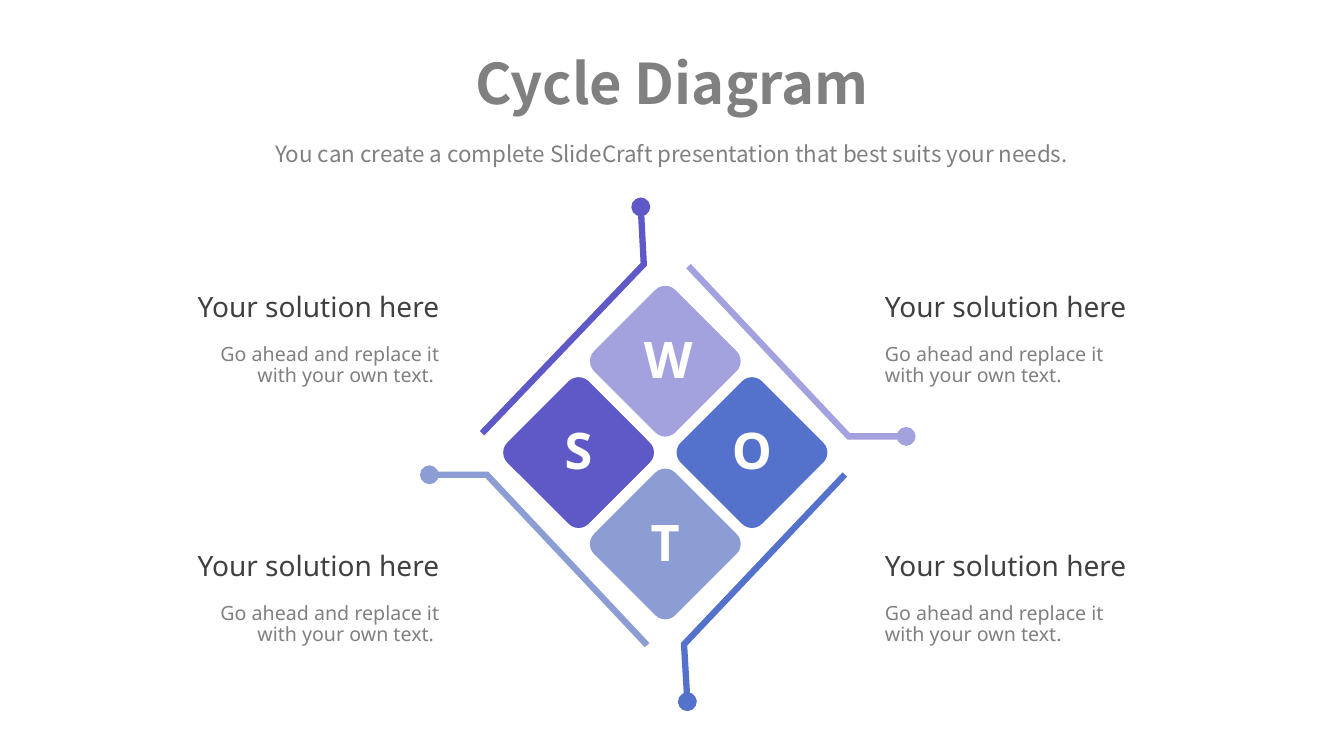
from lxml import etree
from pptx import Presentation
from pptx import util as u
from pptx.dml.color import RGBColor
from pptx.enum import shapes, text
from pptx.oxml.ns import qn

COLUMNS = 40
SLIDE_WIDTH, SLIDE_HEIGHT = u.Inches(13.333), u.Inches(7.5)
CELL = SLIDE_WIDTH / COLUMNS

COLORS = {
    "title": "808080", "heading": "404040", "body": "808080", "letter": "FFFFFF",
    "S": "5F59C7", "O": "5471CC", "W": "A4A1DF", "T": "8C9DD4",
}
TITLE_FONT, BODY_FONT = "Noto Sans CJK KR", "Noto Sans"
ALIGN = text.PP_ALIGN

# letter: diamond steps from the centre, bracket corner in the box, bracket turn
SWOT = {
    "S": ((-1, 0), (0.69, 0.84), 267),
    "O": ((1, 0), (6.78, 8.82), 86.7),
    "W": ((0, -1), (7.71, 1.77), 0),
    "T": ((0, 1), (0, 7.98), 180),
}


def cells(*counts):
    """Turn counts of grid cells into slide lengths."""
    return [u.Emu(round(count * CELL)) for count in counts]


def rgb(name):
    """Look up a named colour."""
    return RGBColor.from_string(COLORS[name])


def add_text(slide, box, words, *, size, color, font=BODY_FONT, bold=False,
             align=ALIGN.LEFT, anchor=text.MSO_ANCHOR.TOP, spacing=0.9):
    """Write one paragraph in a box given in grid cells."""
    frame = slide.shapes.add_textbox(*cells(*box)).text_frame
    frame.word_wrap = True
    frame.vertical_anchor = anchor
    line = frame.paragraphs[0]
    line.alignment = align
    line.line_spacing = spacing
    run = line.add_run()
    run.text = words
    run.font.name = font
    run.font.size = u.Pt(size)
    run.font.bold = bold
    run.font.color.rgb = rgb(color)


def add_header(slide, box):
    """Place the title and the subtitle below it."""
    left, top, width, _ = box
    style = {"font": TITLE_FONT, "color": "title", "align": ALIGN.CENTER}
    add_text(slide, (left, top, width, 3), "Cycle Diagram", size=40, bold=True,
             anchor=text.MSO_ANCHOR.MIDDLE, **style)
    add_text(slide, (left, top + 3.03, width, 1.23),
             "You can create a complete SlideCraft presentation that best suits your needs.",
             size=16, **style)


def add_diamond(slide, center_x, center_y, color):
    """Draw a rounded square standing on its corner."""
    side = 3.42
    diamond = slide.shapes.add_shape(
        shapes.MSO_SHAPE.ROUNDED_RECTANGLE,
        *cells(center_x - side / 2, center_y - side / 2, side, side))
    diamond.adjustments[0] = 0.123
    diamond.rotation = 45
    diamond.shadow.inherit = False
    diamond.fill.solid()
    diamond.fill.fore_color.rgb = rgb(color)
    diamond.line.fill.background()


def add_bracket(slide, left, top, turn, color):
    """Draw a bent line that ends in a dot."""
    builder = slide.shapes.build_freeform(0, 0)
    builder.add_line_segments([cells(4.77, 5.07), cells(6.48, 5.07)], close=False)
    bracket = builder.convert_to_shape(*cells(left, top))
    bracket.rotation = turn
    bracket.shadow.inherit = False
    bracket.fill.background()
    bracket.line.color.rgb = rgb(color)
    bracket.line.width = u.Pt(4.5)
    outline = bracket.line._get_or_add_ln()
    etree.SubElement(outline, qn("a:miter"), lim="800000")
    etree.SubElement(outline, qn("a:tailEnd"), type="oval")


def add_diagram(slide, box):
    """Place four lettered diamonds and the brackets around them."""
    left, top, _, _ = box
    centers = {letter: (left + 7.02 + 2.58 * across, top + 7.32 + 2.72 * down)
               for letter, ((across, down), _, _) in SWOT.items()}
    for letter, center in centers.items():
        add_diamond(slide, *center, letter)
    for letter, (_, (x, y), turn) in SWOT.items():
        add_bracket(slide, left + x, top + y, turn, letter)
    for letter, (x, y) in centers.items():
        add_text(slide, (x - 0.93, y - 1.0, 1.86, 2.67), letter, size=36,
                 color="letter", bold=True, align=ALIGN.CENTER, spacing=0.95)


def add_callout(slide, box, align):
    """Place a heading and its body text against one side of the box."""
    left, top, width, _ = box
    body_width = 8.16
    on_right_edge = align == ALIGN.RIGHT
    body_left = left + width - body_width if on_right_edge else left
    body = "Go ahead and replace it with your own text." + (" " if on_right_edge else "")
    add_text(slide, (left, top, width, 1.32), "Your solution here",
             size=20, color="heading", align=align)
    add_text(slide, (body_left, top + 1.52, body_width, 1.71), body,
             size=14, color="body", align=align)


def main():
    """Build and save the slide."""
    deck = Presentation()
    deck.slide_width, deck.slide_height = SLIDE_WIDTH, SLIDE_HEIGHT
    slide = deck.slides.add_slide(deck.slide_layouts[6])
    add_header(slide, (2.64, 1.08, 34.7, 4.26))
    add_diagram(slide, (12.78, 6.15, 14.19, 14.7))
    for left, align in ((26.04, ALIGN.LEFT), (3.29, ALIGN.RIGHT)):
        for top in (8.58, 16.29):
            add_callout(slide, (left, top, 10.08, 3.23), align)
    deck.save("out.pptx")


if __name__ == "__main__":
    main()
